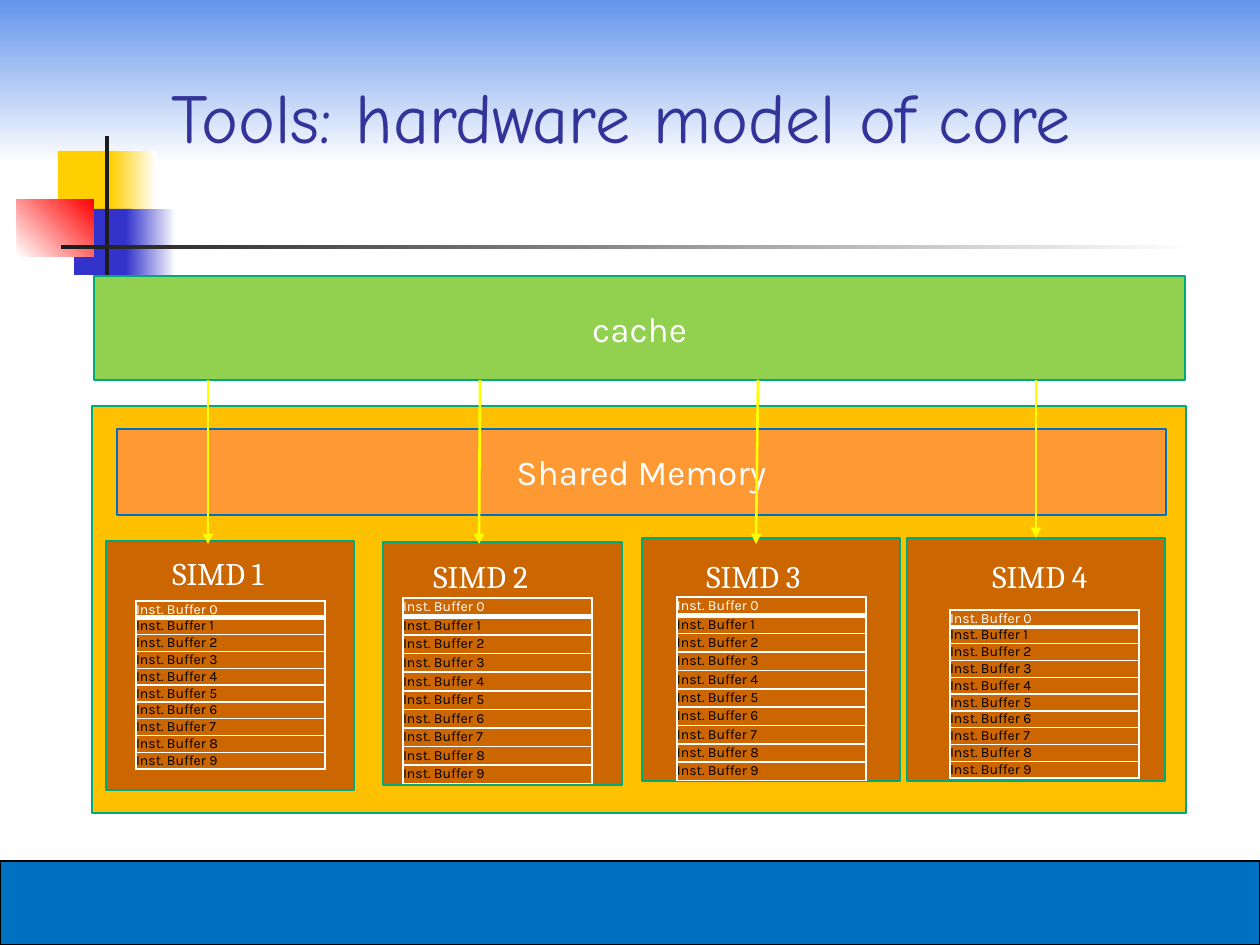
from dataclasses import dataclass

from lxml import etree
from pptx import Presentation
from pptx import util as u
from pptx.dml.color import RGBColor
from pptx.enum import shapes, text
from pptx.oxml import ns

EMU_PER_PX = 914400 / 126


@dataclass(frozen=True)
class Theme:
    white: str = "FFFFFF"
    black: str = "000000"
    sky: str = "6394EB"
    gold: str = "FFCF01"
    indigo: str = "3333CC"
    red: str = "FF0000"
    charcoal: str = "1C1C1C"
    blue: str = "0070C0"
    title: str = "333399"
    core: str = "FFC000"
    memory: str = "FF9933"
    simd: str = "CC6600"
    cache: str = "92D050"
    outline: str = "00A97C"
    arrow: str = "FFFF00"
    title_font: str = "Comic Neue"
    simd_font: str = "Cambria"
    body_font: str = "Karla"
    title_size: int = 40
    block_size: int = 20
    simd_size: int = 18
    buffer_size: int = 8


THEME = Theme()

# Number, block box, label box, buffer table box: left, top, width, height
SIMD_UNITS = [
    (1, (106, 541, 248, 249), (160, 548, 169, 50), (136, 601, 189, 168)),
    (2, (383, 542, 239, 243), (421, 551, 160, 50), (403, 598, 189, 186)),
    (3, (642, 538, 258, 243), (694, 551, 169, 50), (677, 597, 189, 184)),
    (4, (907, 538, 258, 243), (980, 551, 161, 50), (950, 610, 189, 168)),
]
BUFFER_COUNT = 10


def px(*lengths):
    return [u.Emu(round(length * EMU_PER_PX)) for length in lengths]


def rgb(color):
    return RGBColor.from_string(color)


def add_run(paragraph, words, font, size, color):
    run = paragraph.add_run()
    run.text = words
    run.font.name = font
    run.font.size = u.Pt(size)
    run.font.color.rgb = rgb(color)


def add_box(slide, box, fill, line=None, line_width=1.0):
    shape = slide.shapes.add_shape(shapes.MSO_SHAPE.RECTANGLE, *px(*box))
    shape.shadow.inherit = False
    shape.fill.solid()
    shape.fill.fore_color.rgb = rgb(fill)
    if line:
        shape.line.color.rgb = rgb(line)
        shape.line.width = u.Pt(line_width)
    else:
        shape.line.fill.background()
    return shape


def add_gradient_box(slide, box, start, end, angle=0):
    """The angle runs counter-clockwise from left-to-right."""
    shape = add_box(slide, box, start)
    shape.fill.gradient()
    shape.fill.gradient_angle = angle
    for stop, color in zip(shape.fill.gradient_stops, (start, end)):
        stop.color.rgb = rgb(color)


def add_block(slide, box, words, fill, line):
    shape = add_box(slide, box, fill, line)
    shape.text_frame.vertical_anchor = text.MSO_ANCHOR.MIDDLE
    paragraph = shape.text_frame.paragraphs[0]
    paragraph.alignment = text.PP_ALIGN.CENTER
    add_run(paragraph, words, THEME.body_font, THEME.block_size, THEME.white)


def add_label(slide, box, words, font, size, color):
    frame = slide.shapes.add_textbox(*px(*box)).text_frame
    frame.word_wrap = True
    add_run(frame.paragraphs[0], words, font, size, color)
    return frame


def add_arrow(slide, start, end):
    connector = slide.shapes.add_connector(
        shapes.MSO_CONNECTOR.STRAIGHT, *px(*start, *end))
    connector.line.color.rgb = rgb(THEME.arrow)
    connector.line.width = u.Pt(1.5)
    line = connector.line._get_or_add_ln()
    etree.SubElement(line, ns.qn("a:tailEnd"), type="triangle")
    etree.SubElement(connector._element.spPr, ns.qn("a:effectLst"))
    return connector


def set_borders(cell, color, bottom_width):
    properties = cell._tc.get_or_add_tcPr()
    for side, width in (("L", 1), ("R", 1), ("T", 1), ("B", bottom_width)):
        line = etree.SubElement(properties, ns.qn(f"a:ln{side}"), w=str(u.Pt(width)))
        fill = etree.SubElement(line, ns.qn("a:solidFill"))
        etree.SubElement(fill, ns.qn("a:srgbClr"), val=color)


def add_buffer_table(slide, box):
    table = slide.shapes.add_table(BUFFER_COUNT, 1, *px(*box)).table
    table.first_row = table.horz_banding = False
    row_height, = px(box[3] / BUFFER_COUNT)
    for number, row in enumerate(table.rows):
        is_header = number == 0
        row.height = row_height
        cell = row.cells[0]
        cell.margin_left = cell.margin_right = 0
        cell.margin_top = cell.margin_bottom = 0
        cell.vertical_anchor = text.MSO_ANCHOR.MIDDLE
        set_borders(cell, THEME.white, 3 if is_header else 1)
        cell.fill.background()
        add_run(cell.text_frame.paragraphs[0], f"Inst. Buffer {number}",
                THEME.body_font, THEME.buffer_size,
                THEME.white if is_header else THEME.black)


def add_decoration(slide):
    add_gradient_box(slide, (0, 0, 1260, 165), THEME.sky, THEME.white, 270)
    add_box(slide, (58, 151, 60, 66), THEME.gold)
    add_gradient_box(slide, (111, 151, 45, 66), THEME.gold, THEME.white)
    add_box(slide, (74, 209, 58, 66), THEME.indigo)
    add_gradient_box(slide, (126, 209, 50, 66), THEME.indigo, THEME.white)
    add_gradient_box(slide, (17, 199, 77, 58), THEME.white, THEME.red, 45)
    add_box(slide, (105, 136, 4, 145), THEME.charcoal)
    add_gradient_box(slide, (61, 245, 1134, 4), THEME.charcoal, THEME.white)
    add_box(slide, (0, 861, 1260, 84), THEME.blue, THEME.black, 0.75)


def add_simd_unit(slide, number, block_box, label_box):
    block = add_box(slide, block_box, THEME.simd, THEME.outline)
    frame = add_label(slide, label_box, f"SIMD {number}",
                      THEME.simd_font, THEME.simd_size, THEME.white)
    frame.auto_size = text.MSO_AUTO_SIZE.SHAPE_TO_FIT_TEXT
    return block


def main():
    presentation = Presentation()
    presentation.slide_width, presentation.slide_height = px(1260, 945)
    slide = presentation.slides.add_slide(presentation.slide_layouts[6])

    add_decoration(slide)
    title = add_label(slide, (159, 29, 1074, 135), "Tools: hardware model of core",
                      THEME.title_font, THEME.title_size, THEME.title)
    title.vertical_anchor = text.MSO_ANCHOR.BOTTOM

    add_box(slide, (92, 406, 1094, 407), THEME.core, THEME.outline)
    add_block(slide, (117, 429, 1049, 86), "Shared Memory", THEME.memory, THEME.blue)
    blocks = [add_simd_unit(slide, number, block_box, label_box)
              for number, block_box, label_box, _ in SIMD_UNITS]
    add_block(slide, (94, 276, 1091, 104), "cache", THEME.cache, THEME.outline)

    for start_x, end_x in ((208, 208), (480, 479), (758, 756)):
        add_arrow(slide, (start_x, 380), (end_x, 544))
    add_arrow(slide, (1036, 380), (1036, 538)).end_connect(blocks[-1], 0)

    for *_, table_box in SIMD_UNITS:
        add_buffer_table(slide, table_box)

    presentation.save("out.pptx")


if __name__ == "__main__":
    main()
